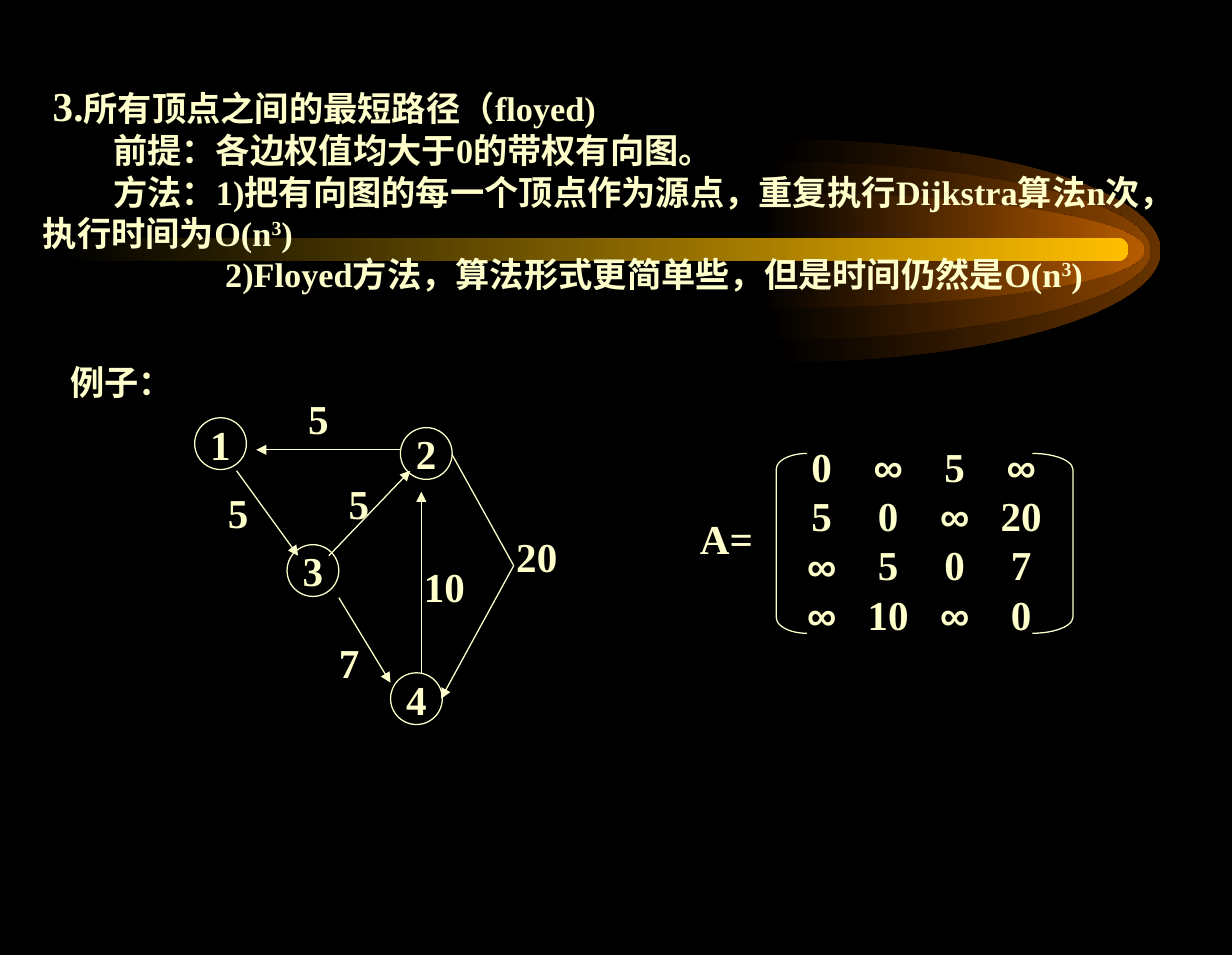
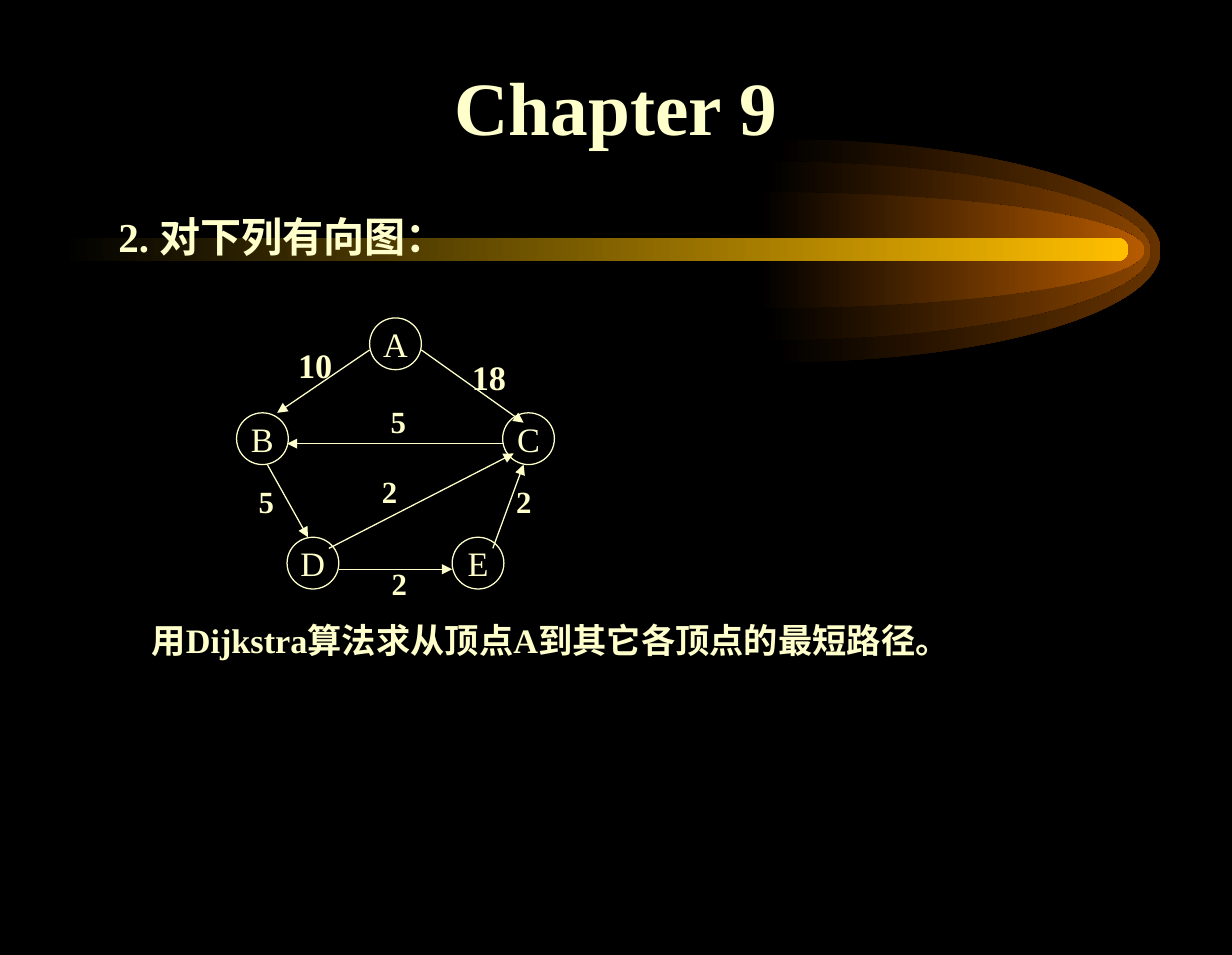
"""Build two slides on shortest paths in weighted directed graphs."""
from lxml import etree
from pptx import Presentation
from pptx import util as u
from pptx.dml.color import RGBColor
from pptx.enum import shapes, text
from pptx.oxml import ns

BLACK, CREAM = "000000", "FFFFCC"
FONT = "Times New Roman"
LEFT, CENTER = text.PP_ALIGN.LEFT, text.PP_ALIGN.CENTER
MIDDLE = text.MSO_ANCHOR.MIDDLE
NODE = 0.42
ROUNDNESS = 0.55

GLOWS = [
    (6.29, 1.13, 3.13, 1.81, "663300"),
    (6.21, 1.31, 3.13, 1.45, "894400"),
    (6.16, 1.56, 3.13, 0.94, "B75B00"),
]
BEAM = (0.5, 1.93, 8.66, 0.19)
BEAM_COLOR = "FFBF00"

CUBE = ("3", {"baseline": "30000"})
GAP = (" ", {"spc": "7300"})
INTRO = [
    (0.08, [("3.", {"sz": "2400"}), "所有顶点之间的最短路径（floyed)"]),
    (0.57, ["前提：各边权值均大于0的带权有向图。"]),
    (0.57, ["方法：1)把有向图的每一个顶点作为源点，重复执行Dijkstra算法n次，", GAP, "执行时间为O(n", CUBE, ")"]),
    (1.48, ["2)Floyed方法，算法形式更简单些，但是时间仍然是O(n", CUBE, ")"]),
]

MATRIX = [
    ["0", "∞", "5", "∞"],
    ["5", "0", "∞", "20"],
    ["∞", "5", "0", "7"],
    ["∞", "10", "∞", "0"],
]
MATRIX_CELL = (0.54, 0.4)
BRACKETS = [
    (shapes.MSO_SHAPE.LEFT_BRACKET, 6.3, 0.25, 0.52),
    (shapes.MSO_SHAPE.RIGHT_BRACKET, 8.38, 0.33, 0.4),
]

FLOYD_GRAPH = {
    "font": (24, True),
    "nodes": [("1", 1.58, 3.39), ("3", 2.33, 4.42), ("4", 3.17, 5.46), ("2", 3.25, 3.47)],
    "edges": [
        (1.92, 3.82, 2.42, 4.51),
        (2.75, 4.85, 3.17, 5.54),
        (2.67, 4.51, 3.33, 3.82),
        (3.42, 5.46, 3.42, 3.99),
        (3.25, 3.65, 2.08, 3.65),
        (4.17, 4.59, 3.58, 5.67),
    ],
    "plain": [(3.67, 3.69, 4.17, 4.59)],
    "weights": [
        ("5", 2.4, 3.14, 24),
        ("5", 1.75, 3.91, 24),
        ("5", 2.73, 3.83, 24),
        ("7", 2.65, 5.12, 24),
        ("10", 3.34, 4.51, 24),
        ("20", 4.09, 4.26, 24),
    ],
}
DIJKSTRA_GRAPH = {
    "font": (20, False),
    "nodes": [("A", 3, 2.58), ("B", 1.92, 3.35), ("C", 4.08, 3.35), ("E", 3.67, 4.36), ("D", 2.33, 4.36)],
    "edges": [
        (3, 2.84, 2.25, 3.35),
        (3.42, 2.84, 4.25, 3.43),
        (4.08, 3.6, 2.33, 3.6),
        (2.67, 4.45, 4.17, 3.68),
        (4, 4.45, 4.25, 3.77),
        (2.75, 4.62, 3.67, 4.62),
        (2.17, 3.77, 2.5, 4.36),
    ],
    "plain": [],
    "weights": [
        ("10", 2.32, 2.74, 20),
        ("18", 3.73, 2.84, 20),
        ("5", 3.07, 3.22, 18),
        ("2", 4.09, 3.87, 18),
        ("2", 3, 3.79, 18),
        ("2", 3.08, 4.53, 18),
        ("5", 2, 3.87, 18),
    ],
}
EXERCISE = [
    (0.11, 24, 6, "2. 对下列有向图："),
    (0.38, 20, 212, "用Dijkstra算法求从顶点A到其它各顶点的最短路径。"),
]


def color(value):
    return RGBColor.from_string(value)


def inches(*values):
    return [u.Inches(value) for value in values]


def add_para(frame, index, spans, size, bold=True, align=LEFT, indent=0):
    para = frame.add_paragraph() if index else frame.paragraphs[0]
    para.alignment = align
    font = para.font
    font.name, font.size, font.bold = FONT, u.Pt(size), bold
    font.color.rgb = color(CREAM)
    properties = para._p.get_or_add_pPr()
    properties.set("marL", "0")
    properties.set("indent", str(u.Inches(indent)))
    for item in spans:
        words, changes = (item, {}) if isinstance(item, str) else item
        span = para.add_run()
        span.text = words
        if words == "∞":
            span.font.name = "Arial"
        for name, value in changes.items():
            span._r.get_or_add_rPr().set(name, value)
    return para


def add_box(page, left, top, width, height, wrap=True):
    box = page.shapes.add_textbox(*inches(left, top, width, height))
    box.text_frame.word_wrap = wrap
    box.text_frame.auto_size = text.MSO_AUTO_SIZE.SHAPE_TO_FIT_TEXT
    box.text_frame.vertical_anchor = MIDDLE
    return box.text_frame


def add_label(page, words, left, top, size):
    halves = sum(1 if char.isdigit() else 1.3 if char.isascii() else 2 for char in words)
    frame = add_box(page, left, top, 0.2 + halves * size / 144, 0.1 + size / 60, wrap=False)
    add_para(frame, 0, [words], size, align=CENTER)


def outline(shape):
    shape.shadow.inherit = False
    shape.fill.background()
    shape.line.color.rgb = color(CREAM)
    shape.line.width = u.Pt(0.75)


def add_edge(page, ends, arrow):
    edge = page.shapes.add_connector(shapes.MSO_CONNECTOR.STRAIGHT, *inches(*ends))
    edge.line.color.rgb = color(CREAM)
    edge.line.width = u.Pt(0.75)
    if arrow:
        etree.SubElement(edge.line._get_or_add_ln(), ns.qn("a:tailEnd"), type="triangle")
    etree.SubElement(edge.element.spPr, ns.qn("a:effectLst"))


def add_graph(page, graph):
    size, bold = graph["font"]
    for name, left, top in graph["nodes"]:
        node = page.shapes.add_shape(shapes.MSO_SHAPE.OVAL, *inches(left, top, NODE, NODE))
        outline(node)
        node.text_frame.word_wrap = False
        node.text_frame.vertical_anchor = MIDDLE
        add_para(node.text_frame, 0, [name], size, bold, CENTER)
    for kind in ("edges", "plain"):
        for ends in graph[kind]:
            add_edge(page, ends, kind == "edges")
    for weight in graph["weights"]:
        add_label(page, *weight)


def fade(shape, value):
    shape.shadow.inherit = False
    shape.line.fill.background()
    shape.fill.gradient()
    shape.fill.gradient_angle = 0
    for stop, shade, position in zip(shape.fill.gradient_stops, (BLACK, value), (0, 1)):
        stop.color.rgb = color(shade)
        stop.position = position


def add_half_ellipse(page, left, top, width, height):
    right, middle, bottom = left + width, top + height / 2, top + height
    bend, rise = ROUNDNESS * width, ROUNDNESS * height / 2
    points = [
        (left + bend, top), (right, middle - rise), (right, middle),
        (right, middle + rise), (left + bend, bottom), (left, bottom),
    ]
    builder = page.shapes.build_freeform(*inches(left, top))
    builder.add_line_segments([inches(*point) for point in points], close=True)
    shape = builder.convert_to_shape()
    lines = list(shape.element.iter(ns.qn("a:lnTo")))
    for start in (0, 3):
        curve = etree.Element(ns.qn("a:cubicBezTo"))
        lines[start].addprevious(curve)
        for line in lines[start:start + 3]:
            curve.append(line[0])
            line.getparent().remove(line)
    return shape


def add_comet(page, master):
    """Draw the comet on the page, then move it behind everything on the master."""
    parts = []
    for *place_on_page, shade in GLOWS:
        glow = add_half_ellipse(page, *place_on_page)
        fade(glow, shade)
        parts.append(glow)
    beam = page.shapes.add_shape(shapes.MSO_SHAPE.ROUNDED_RECTANGLE, *inches(*BEAM))
    beam.adjustments[0] = 0.5
    fade(beam, BEAM_COLOR)
    parts.append(beam)
    for index, part in enumerate(parts):
        master.element.cSld.spTree.insert(2 + index, part.element)


def add_matrix(page, left, top):
    width, height = MATRIX_CELL
    count = len(MATRIX)
    frame = page.shapes.add_table(count, count, *inches(left, top, width * count, height * count))
    table = frame.table
    table.first_row = table.horz_banding = False
    for row, values in enumerate(MATRIX):
        for column, value in enumerate(values):
            cell = table.cell(row, column)
            cell.fill.background()
            cell.margin_left = cell.margin_right = cell.margin_top = cell.margin_bottom = 0
            cell.vertical_anchor = MIDDLE
            add_para(cell.text_frame, 0, [value], 24, align=CENTER)
            for side in ("a:lnL", "a:lnR", "a:lnT", "a:lnB"):
                border = etree.Element(ns.qn(side))
                etree.SubElement(border, ns.qn("a:noFill"))
                cell._tc.tcPr.find(ns.qn("a:noFill")).addprevious(border)
    for kind, edge, depth, curve in BRACKETS:
        bracket = page.shapes.add_shape(kind, *inches(edge, 3.68, depth, 1.46))
        bracket.adjustments[0] = curve
        outline(bracket)


def fill_floyd(page):
    frame = add_box(page, 0.25, 0.6, 9.4, 1.84)
    for index, (indent, spans) in enumerate(INTRO):
        add_para(frame, index, spans, 20, indent=indent)
    add_label(page, "例子：", 0.47, 2.88, 20)
    add_graph(page, FLOYD_GRAPH)
    add_matrix(page, 6.4, 3.6)
    add_label(page, "A=", 5.58, 4.12, 24)


def place(holder, left, top, width, height):
    holder.left, holder.top, holder.width, holder.height = inches(left, top, width, height)
    return holder.text_frame


def fill_exercise(page):
    title = place(page.shapes.title, 0.75, 0.43, 8.5, 0.84)
    title.vertical_anchor = text.MSO_ANCHOR.BOTTOM
    add_para(title, 0, ["Chapter 9"], 44, align=CENTER)
    body = place(page.placeholders[1], 0.75, 1.61, 8.5, 5.37)
    body.margin_top = u.Inches(0.15)
    for index, (indent, size, gap, words) in enumerate(EXERCISE):
        para = add_para(body, index, [words], size, indent=indent)
        para.line_spacing = 0.9
        para.space_before = u.Pt(gap)
        para._p.pPr.find(ns.qn("a:defRPr")).addprevious(etree.Element(ns.qn("a:buNone")))
    add_graph(page, DIJKSTRA_GRAPH)


def main():
    deck = Presentation()
    deck.slide_width, deck.slide_height = inches(10, 7.75)
    background = deck.slide_master.background.fill
    background.solid()
    background.fore_color.rgb = color(BLACK)
    floyd = deck.slides.add_slide(deck.slide_layouts[6])
    add_comet(floyd, deck.slide_master)
    fill_floyd(floyd)
    fill_exercise(deck.slides.add_slide(deck.slide_layouts[1]))
    deck.save("out.pptx")


if __name__ == "__main__":
    main()
